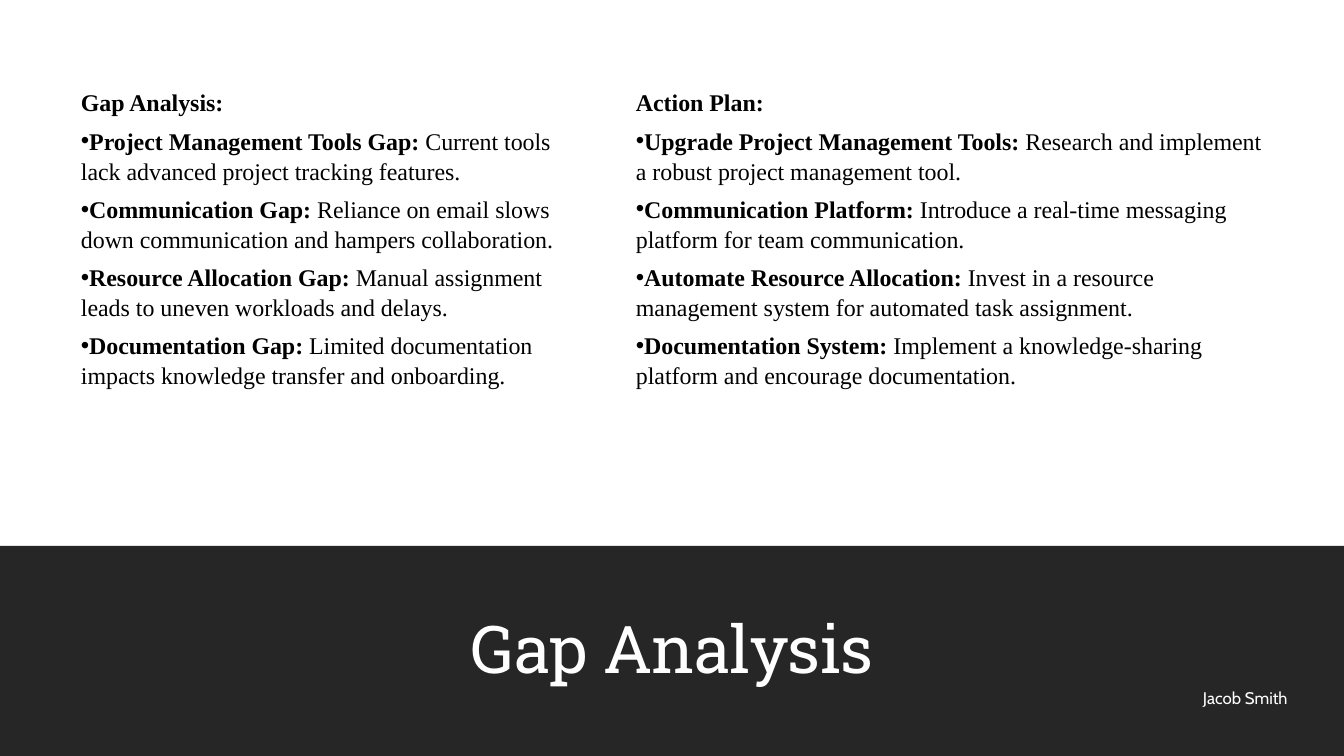
from pptx import Presentation
from pptx.dml.color import RGBColor as RGB
from pptx.enum.shapes import MSO_SHAPE as SHAPE
from pptx.enum.text import MSO_ANCHOR as ANCHOR, PP_ALIGN as ALIGN
from pptx.oxml.ns import qn
from pptx.util import Pt
from lxml.etree import SubElement as Sub

WIDE, HIGH = 1344, 756
SCALE = 12192000 / WIDE
COLORS = {"paper": "FFFFFF", "band": "262626", "ink": "000000"}

GAPS = [
    ("Project Management Tools Gap:", "Current tools lack advanced project tracking features."),
    ("Communication Gap:", "Reliance on email slows down communication and hampers collaboration."),
    ("Resource Allocation Gap:", "Manual assignment leads to uneven workloads and delays."),
    ("Documentation Gap:", "Limited documentation impacts knowledge transfer and onboarding."),
]
PLANS = [
    ("Upgrade Project Management Tools:", "Research and implement a robust project management tool."),
    ("Communication Platform:", "Introduce a real-time messaging platform for team communication."),
    ("Automate Resource Allocation:", "Invest in a resource management system for automated task assignment."),
    ("Documentation System:", "Implement a knowledge-sharing platform and encourage documentation."),
]


def color(name):
    return RGB.from_string(COLORS[name])


def emu(*box):
    return [round(px * SCALE) for px in box]


def style(para, face, size, ink):
    font = para.font
    font.name, font.size = face, Pt(size)
    font.color.rgb = color(ink)


def frame(slide, *box):
    text = slide.shapes.add_textbox(*emu(*box)).text_frame
    text.word_wrap = True
    return text


def bullet(para):
    props = para._p.get_or_add_pPr()
    props.set("marL", "0")
    props.set("indent", "0")
    Sub(props, qn("a:buFont")).set("typeface", "Arial")
    Sub(props, qn("a:buChar")).set("char", "•")


def column(slide, head, items, *box):
    text = frame(slide, *box)
    first = text.paragraphs[0]
    for lead, rest in [(head, "")] + items:
        para = text.add_paragraph() if rest else first
        para.line_spacing, para.space_after = 1.04, Pt(6)
        if rest:
            bullet(para)
        style(para, "Times New Roman", 17.1, "ink")
        run = para.add_run()
        run.text, run.font.bold = lead, True
        if rest:
            para.add_run().text = " " + rest


def footer(slide, x, y, w, h):
    """Dark band with the slide title and the author."""
    band = slide.shapes.add_shape(SHAPE.RECTANGLE, *emu(x, y, w, h))
    band.shadow.inherit = False
    band.fill.solid()
    band.fill.fore_color.rgb = color("band")
    band.line.fill.background()

    title = frame(slide, x + 118, y + 33, w - 236, 114)
    title.vertical_anchor = ANCHOR.BOTTOM
    para = title.paragraphs[0]
    para.alignment, para.line_spacing = ALIGN.CENTER, 0.9
    style(para, "Roboto Slab", 47, "paper")
    run = para.add_run()
    run.text = "Gap Analysis"
    run.font._element.set("spc", "-50")

    para = frame(slide, x + w - 151, y + 137, 151, 30).paragraphs[0]
    para.text = "Jacob Smith"
    style(para, "Cabin", 12, "paper")


def main():
    deck = Presentation()
    deck.slide_width, deck.slide_height = emu(WIDE, HIGH)
    slide = deck.slides.add_slide(deck.slide_layouts[6])
    fill = slide.background.fill
    fill.solid()
    fill.fore_color.rgb = color("paper")
    column(slide, "Gap Analysis:", GAPS, 71, 82, 498, 378)
    column(slide, "Action Plan:", PLANS, 626, 82, 647, 344)
    footer(slide, 0, 546, WIDE, HIGH - 546)
    deck.save("out.pptx")


if __name__ == "__main__":
    main()
